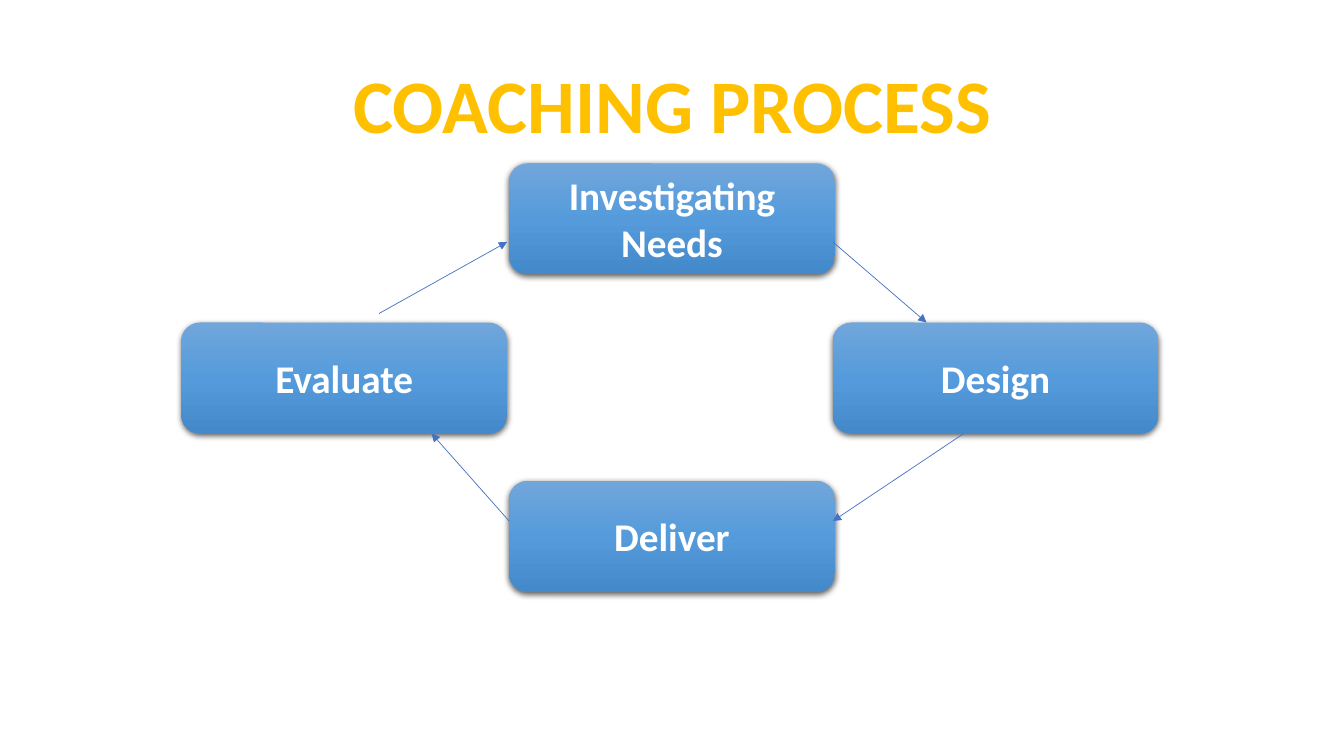
from typing import NamedTuple

from lxml.etree import SubElement
from pptx import Presentation
from pptx.dml.color import RGBColor
from pptx.enum.shapes import MSO_CONNECTOR as CONN, MSO_SHAPE as SHAPE
from pptx.enum.text import MSO_ANCHOR as ANCHOR, PP_ALIGN as ALIGN
from pptx.oxml.ns import qn
from pptx.util import Inches, Pt

COLORS = {"title": "FFC000", "text": "FFFFFF", "arrow": "4472C4", "shadow": "000000",
          "top": "71A6DB", "middle": "559BDB", "bottom": "448ACA"}
GRADIENT = [(0, "top"), (50, "middle"), (100, "bottom")]
FONT = "Calibri"
STEP_W, STEP_H = 3.23, 1.1


class Step(NamedTuple):
    text: str
    left: float
    top: float


class Arrow(NamedTuple):
    x1: float
    y1: float
    x2: float
    y2: float


STEPS = [
    Step("Investigating Needs", 5.05, 1.62),
    Step("Deliver", 5.05, 4.77),
    Step("Evaluate", 1.8, 3.2),
    Step("Design", 8.26, 3.2),
]
ARROWS = [
    Arrow(8.26, 2.4, 9.19, 3.2),
    Arrow(9.56, 4.3, 8.26, 5.17),
    Arrow(5.05, 5.17, 4.28, 4.3),
    Arrow(3.76, 3.11, 5.03, 2.4),
]


def write(tf, text: str, *, size: float, color: str, wrap: bool = True) -> None:
    tf.word_wrap = wrap
    tf.vertical_anchor = ANCHOR.MIDDLE
    p = tf.paragraphs[0]
    p.alignment = ALIGN.CENTER
    r = p.add_run()
    r.text = text
    r.font.name, r.font.size, r.font.bold = FONT, Pt(size), True
    r.font.color.rgb = RGBColor.from_string(COLORS[color])


def fill_gradient(sp) -> None:
    sp.fill.gradient()
    sp.fill.gradient_angle = 270
    stops = sp._element.spPr.find(qn("a:gradFill")).find(qn("a:gsLst"))
    for old in list(stops):
        stops.remove(old)
    for percent, color in GRADIENT:
        stop = SubElement(stops, qn("a:gs"), pos=str(percent * 1000))
        SubElement(stop, qn("a:srgbClr"), val=COLORS[color])


def add_shadow(sp) -> None:
    sp.shadow.inherit = False
    effects = sp._element.spPr.find(qn("a:effectLst"))
    shadow = SubElement(effects, qn("a:outerShdw"), blurRad=str(Pt(4.5)), dist=str(Pt(1.5)),
                        dir="5400000", algn="ctr", rotWithShape="0")
    color = SubElement(shadow, qn("a:srgbClr"), val=COLORS["shadow"])
    SubElement(color, qn("a:alpha"), val="63000")


def draw_step(s, step: Step) -> None:
    sp = s.shapes.add_shape(SHAPE.ROUNDED_RECTANGLE, Inches(step.left), Inches(step.top),
                            Inches(STEP_W), Inches(STEP_H))
    fill_gradient(sp)
    sp.line.fill.background()
    add_shadow(sp)
    write(sp.text_frame, step.text, size=28, color="text")


def draw_arrow(s, arrow: Arrow) -> None:
    cx = s.shapes.add_connector(CONN.STRAIGHT, *(Inches(v) for v in arrow))
    cx.line.color.rgb = RGBColor.from_string(COLORS["arrow"])
    cx.line.width = Pt(0.5)
    SubElement(cx.line._get_or_add_ln(), qn("a:tailEnd"), type="triangle")
    SubElement(cx._element.spPr, qn("a:effectLst"))


prs = Presentation()
prs.slide_width, prs.slide_height = Inches(13.33), Inches(7.5)
s = prs.slides.add_slide(prs.slide_layouts[5])

# Title
title = s.shapes.title
title.left, title.top, title.width, title.height = (Inches(v) for v in (3.37, 0.52, 6.6, 1.01))
write(title.text_frame, "COACHING PROCESS", size=54, color="title", wrap=False)

# Cycle of steps
for step in STEPS:
    draw_step(s, step)

# Arrows between the steps
for arrow in ARROWS:
    draw_arrow(s, arrow)

prs.save("out.pptx")
